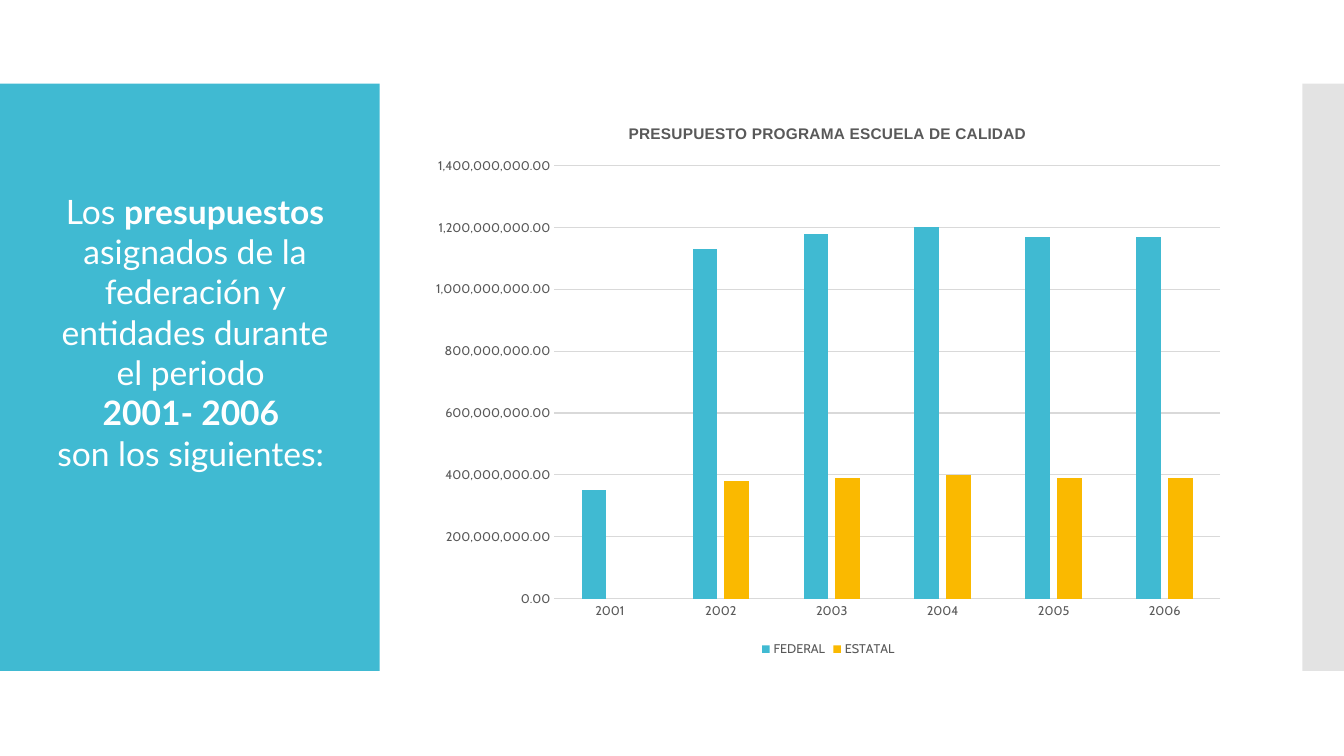
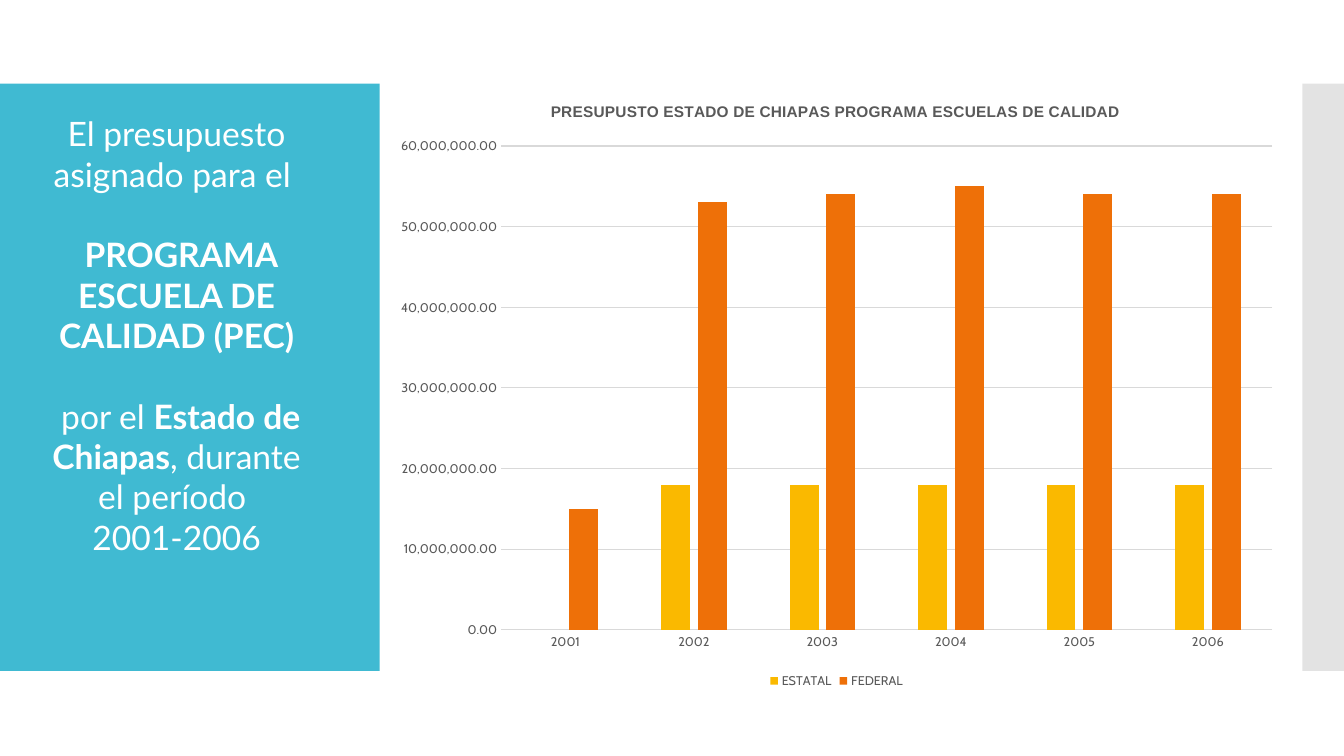
from lxml.etree import SubElement, Element
from pptx import Presentation
from pptx.chart.data import CategoryChartData
from pptx.dml.color import RGBColor
from pptx.enum.chart import XL_CHART_TYPE as ChartType
from pptx.enum.chart import XL_LEGEND_POSITION as LegendPosition
from pptx.enum.chart import XL_TICK_MARK as TickMark
from pptx.enum.shapes import MSO_SHAPE as Preset
from pptx.enum.text import PP_ALIGN as Align
from pptx.oxml.ns import qn
from pptx.util import Cm, Pt

TEAL, YELLOW, ORANGE = "40BAD2", "FAB900", "EE7008"
WHITE, GRAY, GRID, LABEL = "FFFFFF", "C8C8C8", "D9D9D9", "595959"
YEARS = [str(year) for year in range(2001, 2007)]
MILLION = 10 ** 6
LINE_PITCH = 28.8
TITLE_TOP = 0.03
PANEL = (0, 2.11, 9.57, 14.8)
EDGE = (32.82, 2.11, 1.05, 14.8)


def color(value):
    return RGBColor.from_string(value)


def style_font(font, size, value, name, bold=False):
    font.size, font.name, font.bold = Pt(size), name, bold
    font.color.rgb = color(value)


def add_band(slide, box, value, opacity=100):
    band = slide.shapes.add_shape(Preset.RECTANGLE, *map(Cm, box))
    band.shadow.inherit = False
    band.line.fill.background()
    band.fill.solid()
    band.fill.fore_color.rgb = color(value)
    if opacity < 100:
        tint = band.fill._xPr.find(".//" + qn("a:srgbClr"))
        SubElement(tint, qn("a:alpha"), val=str(opacity * 1000))


def add_message(slide, box, paragraphs):
    frame = slide.shapes.add_textbox(*map(Cm, box)).text_frame
    frame.word_wrap = True
    for index, (lines_before, parts) in enumerate(paragraphs):
        paragraph = frame.add_paragraph() if index else frame.paragraphs[0]
        paragraph.alignment = Align.CENTER
        if lines_before:
            paragraph.space_before = Pt(lines_before * LINE_PITCH)
        for text, bold in parts:
            run = paragraph.add_run()
            run.text = text
            style_font(run.font, 24, WHITE, "Lato", bold)


def set_layout(layout, **settings):
    for child in list(layout):
        layout.remove(child)
    manual = SubElement(layout, qn("c:manualLayout"))
    for key, value in settings.items():
        SubElement(manual, qn("c:" + key), val=str(value))


def place_plot(chart, box, plot):
    left, top, width, height = box
    area = chart._chartSpace.find(".//" + qn("c:plotArea"))
    layout = area.find(qn("c:layout"))
    if layout is None:
        layout = Element(qn("c:layout"))
        area.insert(0, layout)
    set_layout(layout, layoutTarget="inner", xMode="edge", yMode="edge",
               x=(plot[0] - left) / width, y=(plot[1] - top) / height,
               w=plot[2] / width, h=plot[3] / height)


def add_title(chart, title, title_left):
    chart.has_title = True
    heading = chart.chart_title
    run = heading.text_frame.paragraphs[0].add_run()
    run.text = title
    style_font(run.font, 11, LABEL, "Arial", True)
    element = heading._element
    layout = element.find(qn("c:layout"))
    if layout is None:
        layout = Element(qn("c:layout"))
        element.find(qn("c:tx")).addnext(layout)
    set_layout(layout, xMode="edge", yMode="edge", x=title_left, y=TITLE_TOP)


def style_axes(chart, maximum, step):
    years, amounts = chart.category_axis, chart.value_axis
    for axis in (years, amounts):
        axis.major_tick_mark = axis.minor_tick_mark = TickMark.NONE
        style_font(axis.tick_labels.font, 9, LABEL, "Cabin")
    amounts.minimum_scale = 0
    amounts.maximum_scale = maximum * MILLION
    amounts.major_unit = step * MILLION
    amounts.tick_labels.number_format = "#,##0.00"
    amounts.tick_labels.number_format_is_linked = False
    amounts.format.line.fill.background()
    amounts.has_major_gridlines = True
    for line in (years.format.line, amounts.major_gridlines.format.line):
        line.color.rgb = color(GRID)
        line.width = Pt(0.75)


def add_budget_chart(slide, box, plot, title, title_left, maximum, step, series):
    data = CategoryChartData(number_format="#,##0.00")
    data.categories = YEARS
    for name, _, millions in series:
        data.add_series(name, [None if amount is None else amount * MILLION
                               for amount in millions])
    chart = slide.shapes.add_chart(
        ChartType.COLUMN_CLUSTERED, *map(Cm, box), data).chart
    style_font(chart.font, 10, "000000", "Cabin")
    add_title(chart, title, title_left)
    style_axes(chart, maximum, step)
    columns = chart.plots[0]
    columns.gap_width, columns.overlap = 219, -27
    columns.vary_by_categories = False
    for column, (_, value, _) in zip(columns.series, series):
        column.format.fill.solid()
        column.format.fill.fore_color.rgb = color(value)
    chart.has_legend = True
    chart.legend.position = LegendPosition.BOTTOM
    chart.legend.include_in_layout = False
    style_font(chart.legend.font, 9, LABEL, "Cabin")
    place_plot(chart, box, plot)


def add_budget_slide(deck, message_box, paragraphs, **budget):
    slide = deck.slides.add_slide(deck.slide_layouts[6])
    add_band(slide, PANEL, TEAL)
    add_band(slide, EDGE, GRAY, 50)
    add_message(slide, message_box, paragraphs)
    add_budget_chart(slide, **budget)


def main():
    deck = Presentation()
    deck.slide_width, deck.slide_height = Cm(33.87), Cm(19.05)
    add_budget_slide(
        deck, (0.94, 4.68, 7.95, 10.52),
        [(0, [("Los ", False), ("presupuestos", True),
              (" asignados de la federación y entidades durante el periodo ", False)]),
         (0, [("2001- 2006 ", True)]),
         (0, [("son los siguientes: ", False)])],
        box=(10.59, 2.61, 20.57, 14.05), plot=(13.97, 4.17, 16.78, 10.92),
        title="PRESUPUESTO PROGRAMA ESCUELA DE CALIDAD", title_left=0.252,
        maximum=1400, step=200,
        series=[("FEDERAL", TEAL, [350, 1130, 1180, 1200, 1170, 1170]),
                ("ESTATAL", YELLOW, [None, 380, 390, 400, 390, 390])])
    add_budget_slide(
        deck, (0.93, 2.73, 7.04, 13.59),
        [(0, [("El presupuesto asignado para el ", False)]),
         (1, [(" ", False), ("PROGRAMA ESCUELA DE CALIDAD (PEC)", True)]),
         (1, [(" por el ", False), ("Estado de Chiapas", True),
              (", durante el período ", False)]),
         (0, [("2001-2006", False)])],
        box=(9.65, 2.02, 22.86, 15.44), plot=(12.63, 3.68, 19.43, 12.19),
        title="PRESUPUSTO ESTADO DE CHIAPAS PROGRAMA ESCUELAS DE CALIDAD",
        title_left=0.182, maximum=60, step=10,
        series=[("ESTATAL", YELLOW, [None, 18, 18, 18, 18, 18]),
                ("FEDERAL", ORANGE, [15, 53, 54, 55, 54, 54])])
    deck.save("out.pptx")


if __name__ == "__main__":
    main()
